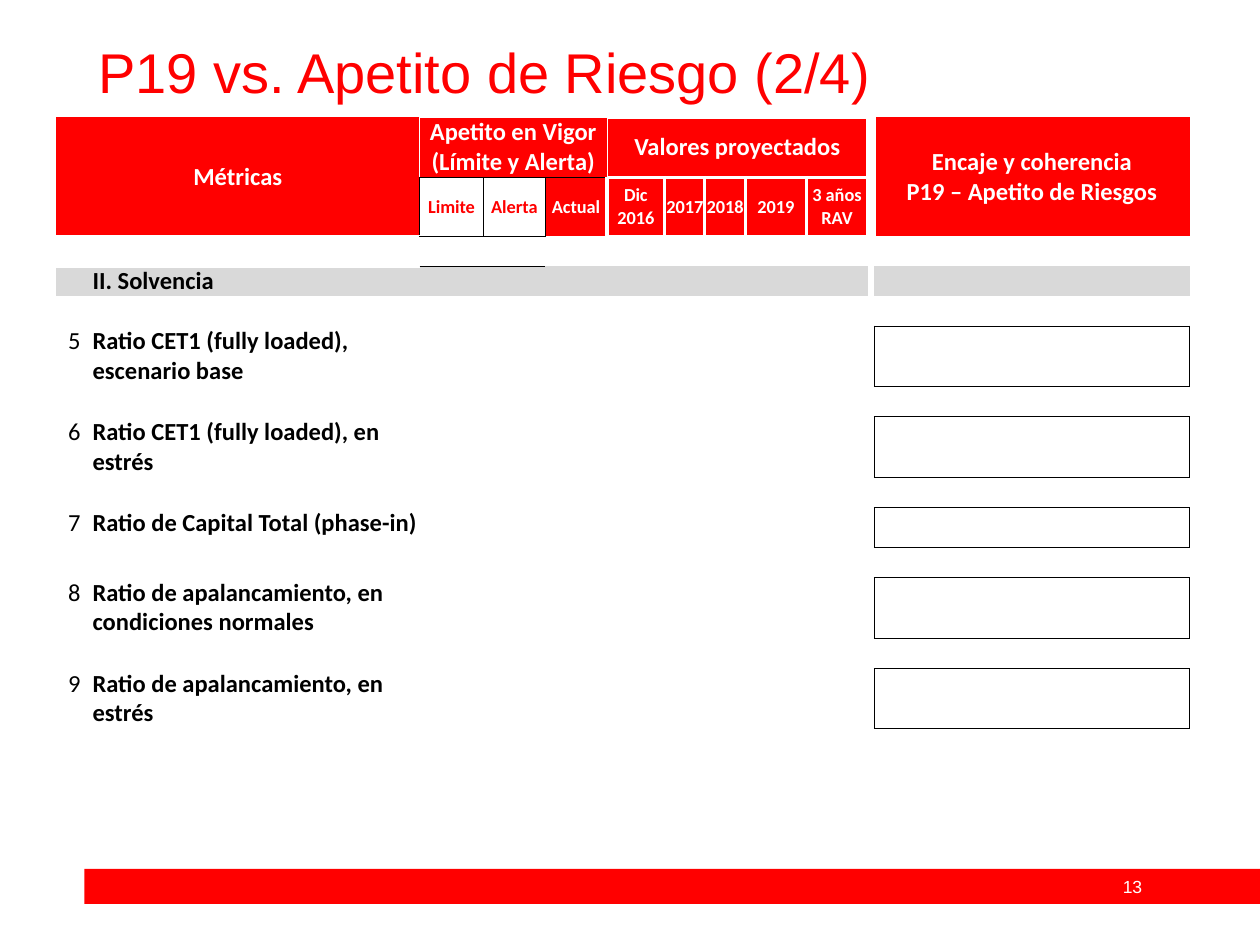
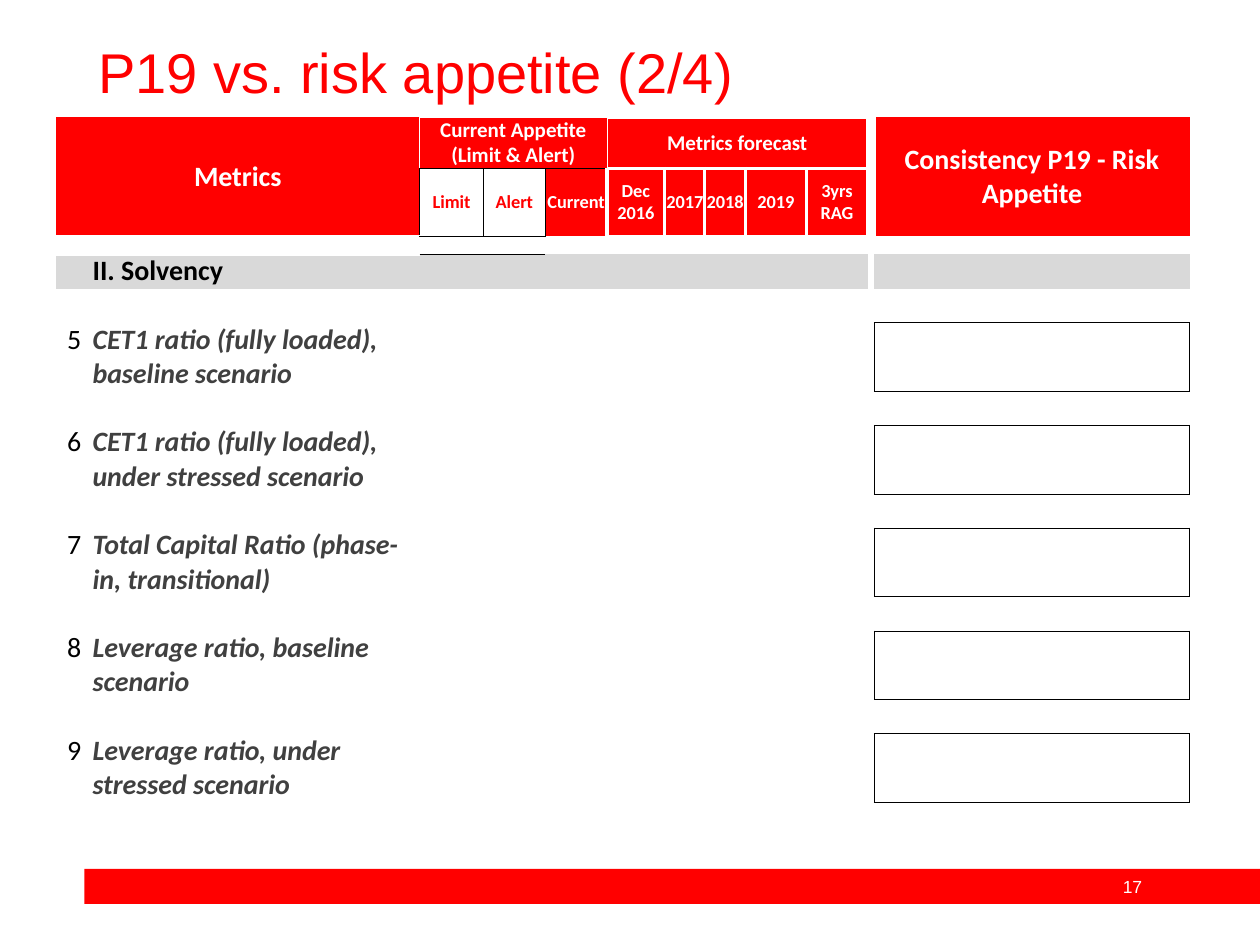
import pptx
import pptx.dml.color
import pptx.enum.shapes
import pptx.enum.text
import pptx.util
from pptx.oxml.xmlchemy import OxmlElement

Pt = pptx.util.Pt
ALIGN = pptx.enum.text.PP_ALIGN
MIDDLE = pptx.enum.text.MSO_ANCHOR.MIDDLE
RED, WHITE, BLACK, GREY, DARK = "FF0000", "FFFFFF", "000000", "D9D9D9", "404040"
THIN, HAIR, THICK = (BLACK, 0.5), (WHITE, 0.5), (WHITE, 2)
PLAIN = "{2D5ABB26-0587-4C30-8999-92F81FD0307C}"
COLS = [20.9, 186.9, 36.5, 35.3, 35.3, 33, 23, 23, 35, 35, 3.8, 180.3]
GAP, LAST = 10, 11
ITEMS = range(5, 14, 2)

SPANISH = {
    "title": "P19 vs. Apetito de Riesgo (2/4)",
    "page": "13",
    "metric": "Métricas",
    "limits": ["Apetito en Vigor", "(Límite y Alerta)"],
    "values": "Valores proyectados",
    "match": ["Encaje y coherencia", "P19 – Apetito de Riesgos"],
    "heads": ["Limite", "Alerta", "Actual", "Dic 2016", "2017", "2018", "2019", "3 años RAV"],
    "part": "II. Solvencia",
    "items": ["Ratio CET1 (fully loaded), escenario base",
              "Ratio CET1 (fully loaded), en estrés",
              "Ratio de Capital Total (phase-in)",
              "Ratio de apalancamiento, en condiciones normales",
              "Ratio de apalancamiento, en estrés"],
    "size": 14, "small": 14, "color": BLACK, "italic": False,
    "rows": [34.3, 33.7, 17.1, 17.1, 17.1, 34.8, 17.2, 34.8, 17.2, 22.8, 17.2, 34.8, 17.2, 34.2],
}
ENGLISH = {
    "title": "P19 vs. risk appetite (2/4)",
    "page": "17",
    "metric": "Metrics",
    "limits": ["Current Appetite (Limit & Alert)"],
    "values": "Metrics forecast",
    "match": ["Consistency P19 - Risk Appetite"],
    "heads": ["Limit", "Alert", "Current", "Dec 2016", "2017", "2018", "2019", "3yrs RAG"],
    "part": "II. Solvency",
    "items": ["CET1 ratio (fully loaded), baseline scenario",
              "CET1 ratio (fully loaded), under stressed scenario",
              "Total Capital Ratio (phase-in, transitional)",
              "Leverage ratio, baseline scenario",
              "Leverage ratio, under stressed scenario"],
    "size": 16, "small": 12, "color": DARK, "italic": True,
    "rows": [29.3, 38.7, 10.3, 20, 19] + [39.3, 19.5] * 4 + [39.1],
}


def paint(format, color):
    format.rgb = pptx.dml.color.RGBColor.from_string(color)


def fill(item, color):
    item.fill.solid()
    paint(item.fill.fore_color, color)


def write(frame, lines, size, color, face="Calibri", bold=False, italic=False, align=ALIGN.CENTER):
    for pos, line in enumerate(lines):
        para = frame.paragraphs[0] if pos == 0 else frame.add_paragraph()
        para.alignment = align
        run = para.add_run()
        run.text = line
        font = run.font
        font.name, font.size, font.bold, font.italic = face, Pt(size), bold, italic
        paint(font.color, color)


def label(slide, text, box, size, color, align):
    frame = slide.shapes.add_textbox(*map(Pt, box)).text_frame
    frame.word_wrap = True
    frame.vertical_anchor = MIDDLE
    write(frame, [text], size, color, "Arial", align=align)
    return frame.paragraphs[0]


def band(slide, page):
    bar = slide.shapes.add_shape(pptx.enum.shapes.MSO_SHAPE.RECTANGLE, *map(Pt, (48.2, 496.5, 671.8, 20)))
    bar.shadow.inherit = False
    bar.line.fill.background()
    fill(bar, RED)
    label(slide, page, (627, 496.8, 40.3, 19.5), 10, WHITE, ALIGN.CENTER)


def edge(cell, sides):
    props = cell._tc.get_or_add_tcPr()
    for side in "LRTB":
        if side in sides:
            color, width = sides[side]
            line = OxmlElement("a:ln" + side)
            line.set("w", str(int(Pt(width))))
            solid = OxmlElement("a:solidFill")
            tint = OxmlElement("a:srgbClr")
            tint.set("val", color)
            solid.append(tint)
            line.append(solid)
            props.append(line)


def shade(row, col):
    if col == GAP or (row == 1 and col in (2, 3)):
        return WHITE
    return RED if row < 2 else GREY if row == 3 else WHITE


def borders():
    box = dict.fromkeys("LRTB", THIN)
    edges = {
        (0, 0): {"R": HAIR, "B": THICK},
        (0, 2): {"L": HAIR, "R": HAIR, "T": HAIR, "B": THIN},
        (0, 5): {"L": HAIR, "R": THICK, "T": THICK, "B": THICK},
        (1, 2): box, (1, 3): box,
        (1, 4): {"L": THIN, "R": THICK},
    }
    for col in range(5, 10):
        edges[1, col] = {"L": THICK, "R": THICK, "T": THICK}
    for row in (0, 1):
        edges[row, GAP] = {"L": THICK}
    for col in range(4):
        edges[2, col] = {"T": THICK if col < 2 else THIN}
    for row in ITEMS:
        edges[row - 1, LAST] = {"B": THIN} if row == ITEMS[0] else {"T": THIN, "B": THIN}
        edges[row, GAP] = {"R": THIN}
        edges[row, LAST] = box
    return edges


def blank(cell):
    end = OxmlElement("a:endParaRPr")
    end.set("sz", "600")
    cell.text_frame.paragraphs[0]._p.append(end)


def grid(slide, data):
    rows = data["rows"]
    table = slide.shapes.add_table(len(rows), len(COLS), Pt(32), Pt(67), Pt(sum(COLS)), Pt(sum(rows))).table
    table.first_row = table.horz_banding = False
    table._tbl.tblPr[0].text = PLAIN
    for track, width in zip(table.columns, COLS):
        track.width = Pt(width)
    for track, height in zip(table.rows, rows):
        track.height = Pt(height)

    size, small = data["size"], data["small"]
    white = {"color": WHITE, "bold": True}
    texts = {
        (0, 0): ([data["metric"]], {"size": size, **white}),
        (0, 2): (data["limits"], {"size": small, **white}),
        (0, 5): ([data["values"]], {"size": small, **white}),
        (0, LAST): (data["match"], {"size": size, **white}),
        (3, 1): ([data["part"]], {"size": size, "color": BLACK, "bold": True, "align": ALIGN.LEFT}),
    }
    for col, head in enumerate(data["heads"], 2):
        texts[1, col] = [head], {"size": 10.5, "color": RED if col < 4 else WHITE, "bold": True}
    for num, (row, item) in enumerate(zip(ITEMS, data["items"]), 5):
        texts[row, 0] = [str(num)], {"size": size, "color": BLACK}
        texts[row, 1] = [item], {"size": size, "color": data["color"], "bold": True,
                                 "italic": data["italic"], "align": ALIGN.LEFT}

    edges = borders()
    for row in range(len(rows)):
        for col in range(len(COLS)):
            cell = table.cell(row, col)
            cell.margin_left = cell.margin_right = cell.margin_top = cell.margin_bottom = 0
            edge(cell, edges.get((row, col), {}))
            fill(cell, shade(row, col))
            if row < 2:
                cell.vertical_anchor = MIDDLE
            if (row, col) in texts:
                lines, style = texts[row, col]
                write(cell.text_frame, lines, **style)
            else:
                blank(cell)

    spans = [(0, 0, 1, 1), (0, 2, 0, 4), (0, 5, 0, 9), (0, LAST, 1, LAST)]
    spans += [(row, 8, row, 9) for row in (2, 5, 7, 9)]
    for top, left, low, right in spans:
        table.cell(top, left).merge(table.cell(low, right))


def main():
    deck = pptx.Presentation()
    deck.slide_width, deck.slide_height = Pt(720), Pt(540)
    for data in (SPANISH, ENGLISH):
        slide = deck.slides.add_slide(deck.slide_layouts[6])
        band(slide, data["page"])
        title = label(slide, data["title"], (49, 22.3, 620.6, 41), 32, RED, ALIGN.LEFT)
        title.line_spacing = 0.9
        grid(slide, data)
    deck.save("out.pptx")


if __name__ == "__main__":
    main()
